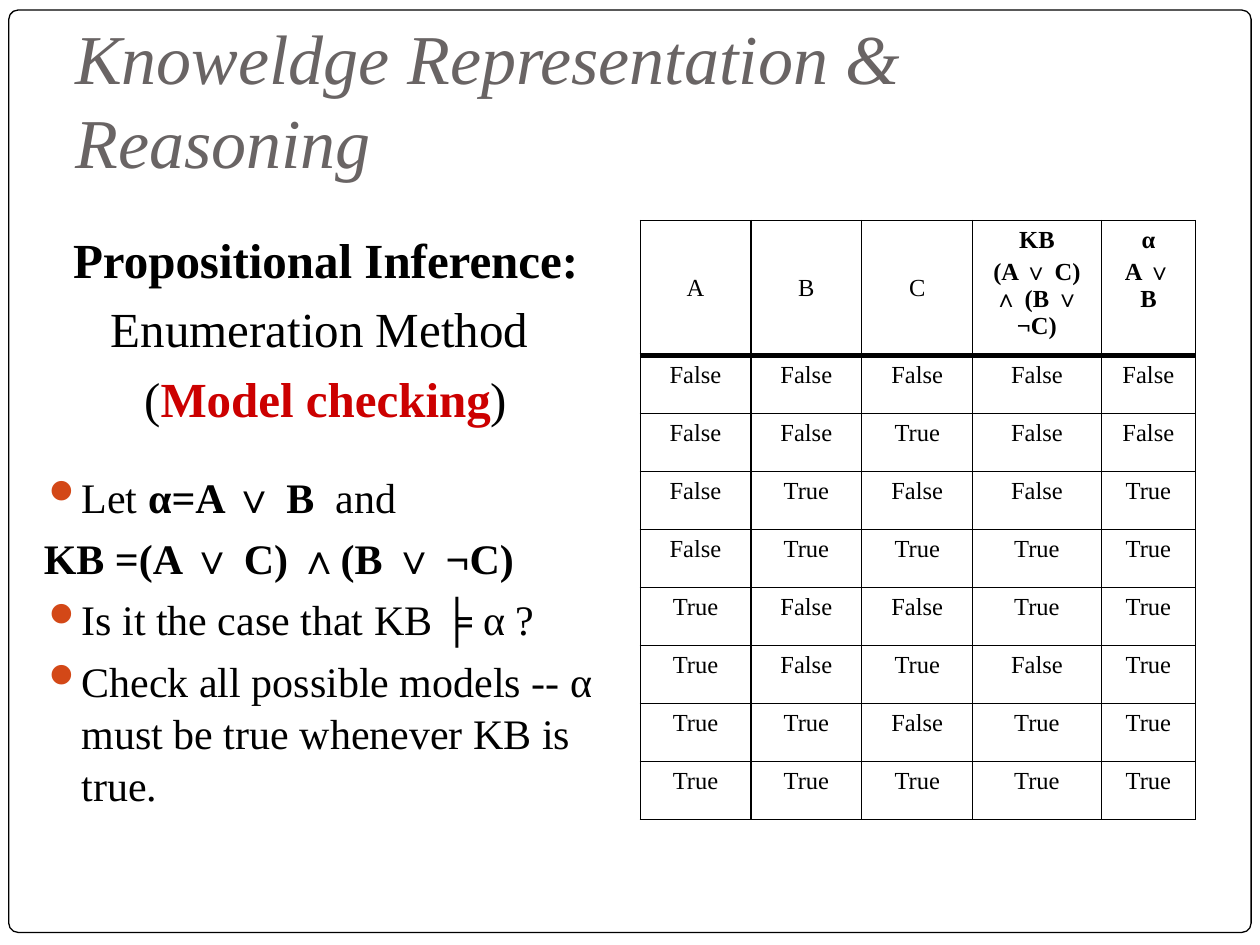
"""Build a slide on propositional inference with its truth table."""
import itertools
from typing import NamedTuple

import lxml.etree
import pptx
import pptx.dml.color
import pptx.enum.shapes
import pptx.enum.text
import pptx.oxml.ns
import pptx.util

Inches = pptx.util.Inches
Pt = pptx.util.Pt
Align = pptx.enum.text.PP_ALIGN
Anchor = pptx.enum.text.MSO_ANCHOR
qn = pptx.oxml.ns.qn

FONT = "Times New Roman"
BLACK, WHITE, GRAY = "000000", "FFFFFF", "696464"
RED, RUST = "CC0000", "D34817"


class Run(NamedTuple):
    text: str
    bold: bool = False
    color: str = BLACK


class Para(NamedTuple):
    runs: list[Run]
    size: float
    before: float = 0
    align: Align = Align.LEFT
    bullet: bool = False


def paint(target, color: str) -> None:
    target.rgb = pptx.dml.color.RGBColor.from_string(color)


def fill(target, color: str) -> None:
    target.fill.solid()
    paint(target.fill.fore_color, color)


def sub(parent, tag: str, **attrs: str):
    return lxml.etree.SubElement(parent, qn(tag), attrs)


def write(frame, paras: list[Para], *, indent: float = 0,
          italic: bool = False, spacing: float = 1.0) -> None:
    for index, item in enumerate(paras):
        para = frame.paragraphs[0] if index == 0 else frame.add_paragraph()
        props = para._p.get_or_add_pPr()
        if indent:
            props.set("marL", str(Inches(indent)))
            props.set("indent", str(-Inches(indent)))
        if item.bullet:
            sub(sub(props, "a:buClr"), "a:srgbClr", val=RUST)
            sub(props, "a:buChar", char="⚫")
        para.alignment = item.align
        para.line_spacing = spacing
        para.space_before = Pt(item.before)
        for part in item.runs:
            run = para.add_run()
            run.text = part.text
            run.font.name = FONT
            run.font.size = Pt(item.size)
            run.font.bold = part.bold
            run.font.italic = italic
            paint(run.font.color, part.color)


def add_box(slide, left: float, top: float, width: float, height: float):
    box = slide.shapes.add_textbox(*map(Inches, (left, top, width, height)))
    box.text_frame.word_wrap = True
    return box.text_frame


def add_frame(slide) -> None:
    frame = slide.shapes.add_shape(
        pptx.enum.shapes.MSO_SHAPE.ROUNDED_RECTANGLE,
        Inches(0.07), Inches(0.08), Inches(9.86), Inches(7.32))
    frame.adjustments[0] = 0.01
    frame.shadow.inherit = False
    fill(frame, WHITE)
    paint(frame.line.color, BLACK)
    frame.line.width = Pt(0.75)


def add_title(slide) -> None:
    frame = add_box(slide, 0.5, 0.3, 9, 1.25)
    frame.vertical_anchor = Anchor.BOTTOM
    frame.margin_bottom = Inches(0.1)
    title = Run("Knoweldge Representation & Reasoning", color=GRAY)
    write(frame, [Para([title], 40)], italic=True)


def add_body(slide) -> None:
    head = [
        [Run("Propositional Inference:", True)],
        [Run("Enumeration Method ")],
        [Run("("), Run("Model checking", True, RED), Run(")")],
    ]
    paras = [Para(runs, 28, 5 if index else 0, Align.CENTER)
             for index, runs in enumerate(head)]
    paras += [
        Para([Run("Let "), Run("α=Α ∨ Β", True), Run("  and")], 24, 24, bullet=True),
        Para([Run("KB =(Α ∨ C) ∧(B ∨ ¬C)", True)], 24, 5),
        Para([Run("Is it the case that KB ╞ α ?")], 24, 5, bullet=True),
        Para([Run("Check all possible models -- α must be true "
                  "whenever KB is true.")], 24, 5, bullet=True),
    ]
    write(add_box(slide, 0.25, 1.75, 4.67, 4.95), paras, indent=0.3, spacing=1.04)


def edge(cell, top: float, bottom: float) -> None:
    props = cell._tc.get_or_add_tcPr()
    sides = {"L": 0.75, "R": 0.75, "T": top, "B": bottom}
    for side, width in sides.items():
        line = sub(props, f"a:ln{side}", w=str(Pt(width)))
        sub(sub(line, "a:solidFill"), "a:srgbClr", val=BLACK)


def add_truth(slide) -> None:
    widths = [0.88, 0.88, 0.88, 1.02, 0.75]
    heights = [0.85] + [0.46] * 8
    heads = [["A"], ["B"], ["C"], ["KB", "(Α ∨ C) ∧ (B ∨ ¬C)"], ["α", "Α ∨ Β"]]
    models = [(a, b, c, (a or c) and (b or not c), a or b)
              for a, b, c in itertools.product([False, True], repeat=3)]
    rows = [heads] + [[[str(value)] for value in model] for model in models]
    table = slide.shapes.add_table(
        len(rows), len(widths), Inches(5.08), Inches(1.75),
        Inches(sum(widths)), Inches(sum(heights))).table
    table.horz_banding = False
    for column, width in zip(table.columns, widths):
        column.width = Inches(width)
    for r, (row, height) in enumerate(zip(rows, heights)):
        table.rows[r].height = Inches(height)
        for c, lines in enumerate(row):
            cell = table.cell(r, c)
            edge(cell, 3 if r == 1 else 0.75, 3 if r == 0 else 0.75)
            fill(cell, WHITE)
            middle = r == 0 and len(lines) == 1
            cell.vertical_anchor = Anchor.MIDDLE if middle else Anchor.TOP
            write(cell.text_frame, [
                Para([Run(line, len(lines) > 1)], 14, 2.8 if index else 0, Align.CENTER)
                for index, line in enumerate(lines)])


def main() -> None:
    deck = pptx.Presentation()
    deck.slide_width, deck.slide_height = Inches(10), Inches(7.5)
    slide = deck.slides.add_slide(deck.slide_layouts[6])
    add_frame(slide)
    add_title(slide)
    add_body(slide)
    add_truth(slide)
    deck.save("out.pptx")


if __name__ == "__main__":
    main()
